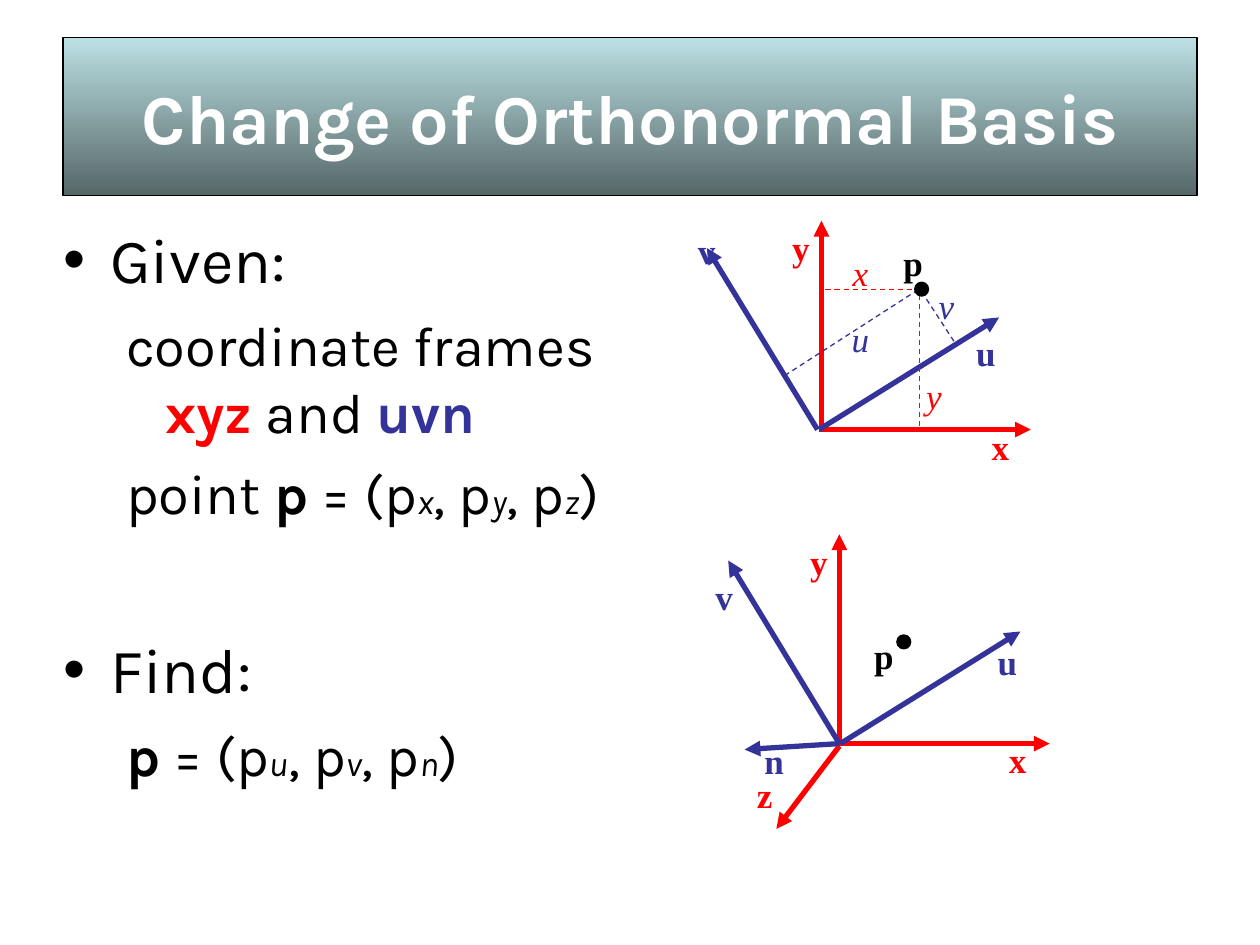
from dataclasses import dataclass

from lxml.etree import SubElement
from pptx import Presentation
from pptx.dml.color import RGBColor as RGB
from pptx.enum.dml import MSO_LINE_DASH_STYLE as DASH
from pptx.enum.shapes import MSO_CONNECTOR as CONN, MSO_SHAPE as SHAPE
from pptx.enum.text import MSO_ANCHOR as ANCHOR, MSO_AUTO_SIZE as FIT, PP_ALIGN as ALIGN
from pptx.oxml.ns import qn
from pptx.util import Cm, Pt


@dataclass(frozen=True)
class Theme:
    black: RGB = RGB(0x00, 0x00, 0x00)
    white: RGB = RGB(0xFF, 0xFF, 0xFF)
    red: RGB = RGB(0xFF, 0x00, 0x00)
    blue: RGB = RGB(0x33, 0x33, 0x99)
    banner_top: RGB = RGB(0xBB, 0xE0, 0xE3)
    banner_bottom: RGB = RGB(0x56, 0x67, 0x68)
    sans: str = "Karla"
    serif: str = "Times New Roman"
    title: int = 40
    heading: int = 36
    body: int = 32
    small: int = 20


T = Theme()
AXIS_COLOR = {**dict.fromkeys("xyz", T.red), **dict.fromkeys("uvn", T.blue), "p": T.black}


def add_run(p, text, size=T.body, color=T.black, bold=False, italic=False, font=T.sans):
    r = p.add_run()
    r.text = text
    f = r.font
    f.name, f.size, f.bold, f.italic = font, Pt(size), bold, italic
    f.color.rgb = color


def add_line(start, end, color, dashed=False):
    """Draw a thin dashed guide, or a thick arrow pointing at end."""
    c = s.shapes.add_connector(CONN.STRAIGHT, *map(Cm, start + end))
    c.line.color.rgb = color
    c.line.width = Pt(0.75 if dashed else 3)
    if dashed:
        c.line.dash_style = DASH.DASH
    else:
        SubElement(c.line._get_or_add_ln(), qn("a:tailEnd"), type="triangle")
    SubElement(c._element.spPr, qn("a:effectLst"))


prs = Presentation()
prs.slide_width, prs.slide_height = Cm(25.4), Cm(19.05)
s = prs.slides.add_slide(prs.slide_layouts[1])

# Title banner
title = s.shapes.title
title.left, title.top, title.width, title.height = Cm(1.27), Cm(0.76), Cm(22.86), Cm(3.18)
title.fill.gradient()
title.fill.gradient_angle = 270
stops = title.fill.gradient_stops
for stop, position, color in zip(stops, (0, 1), (T.banner_top, T.banner_bottom)):
    stop.position = position
    stop.color.rgb = color
title.line.color.rgb = T.black
title.line.width = Pt(0.75)
tf = title.text_frame
tf.auto_size, tf.vertical_anchor = FIT.NONE, ANCHOR.MIDDLE
tf.paragraphs[0].alignment = ALIGN.CENTER
add_run(tf.paragraphs[0], "Change of Orthonormal Basis", size=T.title, color=T.white, bold=True)

# Body list: (level, space before, runs)
bold, sub = {"bold": True}, {"size": T.small, "italic": True}
heading = {"size": T.heading}


def_runs = [
    (0, 0, [("Given:", heading)]),
    (1, 8, [("coordinate frames ", {}), ("\n", {}), ("xyz", {"color": T.red, **bold}),
            (" and ", {}), ("uvn", {"color": T.blue, **bold})]),
    (1, 8, [("point ", {}), ("p", bold), (" = (p", {}), ("x", sub), (", p", {}),
            ("y", sub), (", p", {}), ("z", sub), (")", {})]),
    (0, 60, [("Find:", heading)]),
    (1, 8, [("p", bold), (" = (p", {}), ("u", sub), (", p", {}),
            ("v", sub), (", p", {}), ("n", sub), (")", {})]),
]
body = s.placeholders[1]
body.left, body.top, body.width, body.height = Cm(1.27), Cm(4.45), Cm(12.75), Cm(12.57)
tf = body.text_frame
tf.auto_size, tf.word_wrap, tf.vertical_anchor = FIT.NONE, True, ANCHOR.TOP
tf.margin_left = tf.margin_top = tf.margin_right = tf.margin_bottom = 0
for i, (level, before, runs) in enumerate(def_runs):
    p = tf.add_paragraph() if i else tf.paragraphs[0]
    p.level = level
    pPr = p._p.get_or_add_pPr()
    margin, indent = (Cm(2.06), Cm(-0.79)) if level else (Cm(0.95), Cm(-0.95))
    pPr.set("marL", str(margin))
    pPr.set("indent", str(indent))
    if level:
        SubElement(pPr, qn("a:buNone"))
    else:
        SubElement(SubElement(pPr, qn("a:buClr")), qn("a:srgbClr"), val=str(T.black))
        SubElement(pPr, qn("a:buChar"), char="•")
    p.space_before = Pt(before)
    for text, style in runs:
        if text == "\n":
            p.add_line_break()
        else:
            add_run(p, text, **style)

# Axes: (name, origin, tip), upper frame then lower frame
axes = [
    ("y", (16.56, 8.71), (16.56, 4.45)),
    ("x", (16.56, 8.66), (20.78, 8.66)),
    ("u", (16.51, 8.66), (20.14, 6.4)),
    ("v", (16.48, 8.66), (14.25, 5)),
    ("z", (16.92, 15.04), (15.65, 16.71)),
    ("y", (16.92, 15.01), (16.92, 10.77)),
    ("x", (16.92, 14.99), (21.16, 14.99)),
    ("u", (16.94, 14.99), (20.57, 12.73)),
    ("v", (16.92, 14.99), (14.68, 11.3)),
    ("n", (16.92, 14.99), (15.01, 15.11)),
]
for name, origin, tip in axes:
    add_line(origin, tip, AXIS_COLOR[name])

# Projections of p onto the axes of the upper frame
projections = [
    ("x", (16.64, 5.84), (18.54, 5.84)),
    ("y", (18.54, 8.59), (18.54, 5.84)),
    ("v", (19.23, 6.88), (18.54, 5.82)),
    ("u", (15.82, 7.57), (18.54, 5.82)),
]
for name, foot, point in projections:
    add_line(foot, point, AXIS_COLOR[name], dashed=True)

# Point p in both frames
for x, y in [(18.44, 5.69), (18.08, 12.8)]:
    dot = s.shapes.add_shape(SHAPE.OVAL, Cm(x), Cm(y), Cm(0.28), Cm(0.28))
    dot.shadow.inherit = False
    dot.fill.solid()
    dot.fill.fore_color.rgb = dot.line.color.rgb = T.black
    dot.line.width = Pt(0.75)

# Labels: bold for axes and points, italic for coordinates
names = [
    ("x", 19.74, 8.46), ("y", 15.72, 4.45), ("v", 13.82, 4.5), ("u", 19.43, 6.55),
    ("p", 17.96, 4.75), ("p", 17.37, 12.67), ("z", 15.01, 15.47), ("x", 20.09, 14.76),
    ("y", 16.08, 10.77), ("v", 14.17, 11.48), ("u", 19.86, 12.78), ("n", 15.16, 14.78),
]
coordinates = [("x", 16.94, 4.95), ("y", 18.42, 7.42), ("u", 16.92, 6.27), ("v", 18.67, 5.61)]
for labels, style in [(names, {"bold": True}), (coordinates, {"italic": True})]:
    for text, x, y in labels:
        width = 0.84 if text == "z" else 1.12
        tf = s.shapes.add_textbox(Cm(x), Cm(y), Cm(width), Cm(1.12)).text_frame
        tf.word_wrap, tf.auto_size = True, FIT.SHAPE_TO_FIT_TEXT
        add_run(tf.paragraphs[0], text, size=T.small, color=AXIS_COLOR[text],
                font=T.serif, **style)

prs.save("out.pptx")
